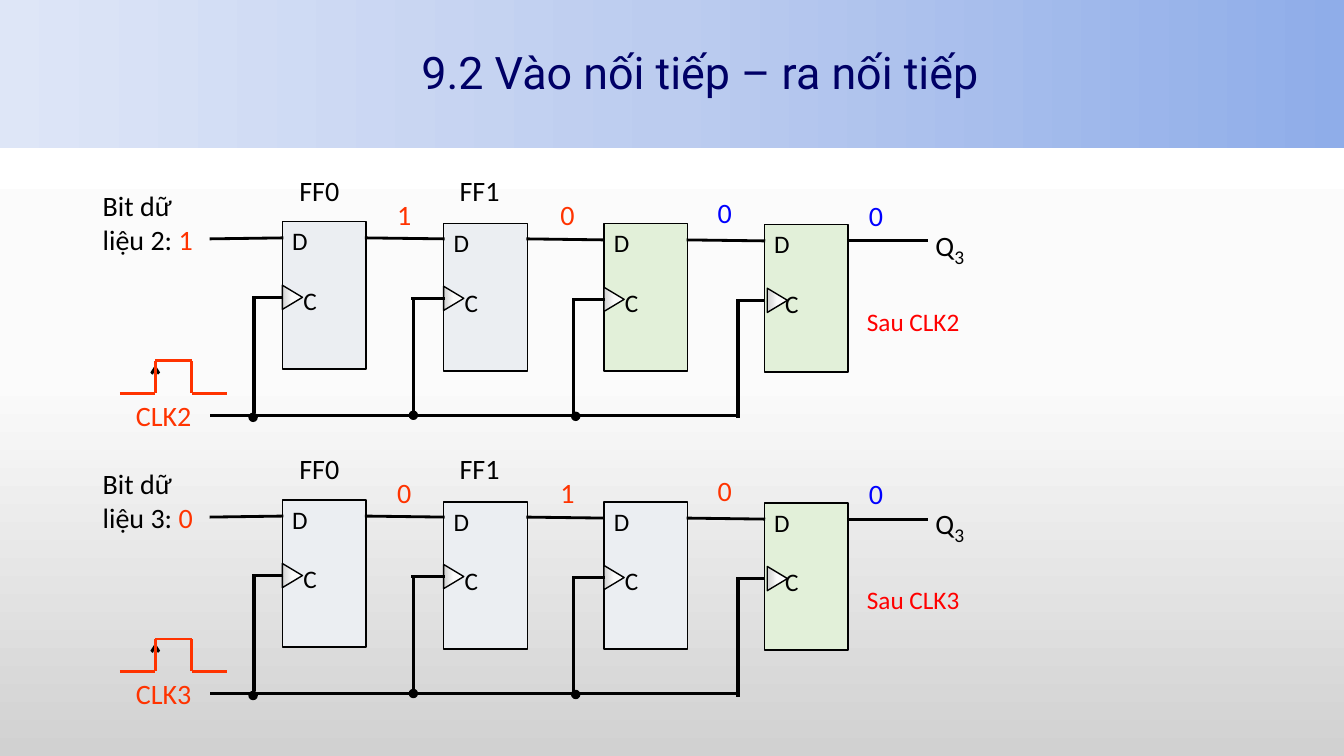
from dataclasses import dataclass
from itertools import pairwise
from typing import NamedTuple

from pptx import Presentation
from pptx.dml.color import RGBColor
from pptx.enum.shapes import MSO_CONNECTOR, MSO_SHAPE
from pptx.enum.text import MSO_ANCHOR, MSO_AUTO_SIZE, PP_ALIGN
from pptx.oxml import parse_xml
from pptx.oxml.ns import nsdecls, qn
from pptx.util import Inches, Pt

BLACK = RGBColor(0x00, 0x00, 0x00)
ORANGE = RGBColor(0xFF, 0x33, 0x00)
RED = RGBColor(0xFF, 0x00, 0x00)
BLUE = RGBColor(0x00, 0x00, 0xFF)
NAVY = RGBColor(0x00, 0x00, 0x66)
GREY_BOX = RGBColor(0xEB, 0xEE, 0xF2)
GREEN_BOX = RGBColor(0xE2, 0xF0, 0xD9)
PAPER = ("FFFFFF", "FBFBFB", "D1D1D1")
BAND = ("8FADE9", "BCCCEF", "DEE6F7")
BOX_W, BOX_H = 0.83, 1.46
BUS_Y = 4.12


class Run(NamedTuple):
    text: str
    color: RGBColor = BLACK
    size: float = 20
    baseline: int = 0


class Stage(NamedTuple):
    left: float
    top: float
    clock_left: float
    clock_x: float
    drop_end: float
    bit_left: float
    bit_top: float


@dataclass(frozen=True)
class Register:
    number: int
    dy: float
    data_bit: str
    bits: str
    loaded: int


STAGES = (
    Stage(2.8, 2.2, 2.78, 2.52, 4.1, 3.84, 1.91),
    Stage(4.4, 2.22, 4.38, 4.1, 4.11, 5.46, 1.91),
    Stage(5.99, 2.22, 5.97, 5.69, 4.13, 7.02, 1.89),
    Stage(7.58, 2.23, 7.59, 7.32, 4.15, 8.52, 1.92),
)
DOTS = ((2.47, 4.1), (4.06, 4.08), (5.67, 4.09))
REGISTERS = (
    Register(2, 0, "1", "1000", 2),
    Register(3, 2.76, "0", "0100", 3),
)


def set_gradient(fill, root, colors: tuple[str, ...], angle: float) -> None:
    """Spread the colours evenly; the angle runs clockwise."""
    fill.gradient()
    fill.gradient_angle = 360 - angle
    stops = root.find(".//" + qn("a:gsLst"))
    for stop in list(stops):
        stops.remove(stop)
    for i, color in enumerate(colors):
        pos = 100000 * i // (len(colors) - 1)
        stops.append(parse_xml(f'<a:gs {nsdecls("a")} pos="{pos}">'
                               f'<a:srgbClr val="{color}"/></a:gs>'))


def add_runs(p, runs: list[Run], font: str = "Calibri") -> None:
    for run in runs:
        r = p.add_run()
        r.text = run.text
        r.font.name = font
        r.font.size = Pt(run.size)
        r.font.color.rgb = run.color
        if run.baseline:
            r.font._element.set("baseline", str(run.baseline * 1000))


def add_text(s, left: float, top: float, width: float, height: float,
             *lines: list[Run], wrap: bool = False) -> None:
    tf = s.shapes.add_textbox(Inches(left), Inches(top),
                              Inches(width), Inches(height)).text_frame
    tf.word_wrap = wrap
    tf.auto_size = MSO_AUTO_SIZE.SHAPE_TO_FIT_TEXT
    for i, runs in enumerate(lines):
        add_runs(tf.add_paragraph() if i else tf.paragraphs[0], runs)


def add_line(s, x1: float, y1: float, x2: float, y2: float,
             color: RGBColor = BLACK, width: float = 2, arrow: bool = False) -> None:
    line = s.shapes.add_connector(MSO_CONNECTOR.STRAIGHT, Inches(x1), Inches(y1),
                                  Inches(x2), Inches(y2))
    line.line.color.rgb = color
    line.line.width = Pt(width)
    if arrow:
        line.line._get_or_add_ln().append(
            parse_xml(f'<a:tailEnd {nsdecls("a")} type="arrow"/>'))
    line._element.spPr.append(parse_xml(f'<a:effectLst {nsdecls("a")}/>'))


def add_shape(s, kind: MSO_SHAPE, left: float, top: float, width: float,
              height: float, fill: RGBColor | None = None):
    sp = s.shapes.add_shape(kind, Inches(left), Inches(top),
                            Inches(width), Inches(height))
    sp.shadow.inherit = False
    sp.line.color.rgb = BLACK
    sp.line.width = Pt(1)
    if fill is not None:
        sp.fill.solid()
        sp.fill.fore_color.rgb = fill
    return sp


def add_flip_flop(s, stage: Stage, i: int, dy: float, fill: RGBColor) -> None:
    sp = add_shape(s, MSO_SHAPE.RECTANGLE, stage.left, stage.top + dy,
                   BOX_W, BOX_H, fill)
    tf = sp.text_frame
    tf.vertical_anchor = MSO_ANCHOR.TOP
    tf.margin_top = Inches(0.04)
    d, c = tf.paragraphs[0], tf.add_paragraph()
    for p, name in ((d, "D"), (c, "C")):
        p.alignment = PP_ALIGN.LEFT
        add_runs(p, [Run(name, size=18)])
    c.space_before = Pt(21)
    c._p.get_or_add_pPr().set("marL", str(Inches(0.11)))

    clock_y = 2.95 + 0.01 * i + dy
    mark = add_shape(s, MSO_SHAPE.ISOSCELES_TRIANGLE, stage.clock_left,
                     clock_y - 0.1, 0.24, 0.2)
    mark.rotation = 90
    set_gradient(mark.fill, mark._element, PAPER, 90)
    add_line(s, stage.left + 0.01, clock_y, stage.clock_x - 0.02, clock_y)
    add_line(s, stage.clock_x, clock_y, stage.clock_x, stage.drop_end + dy, width=2.5)


def add_pulse(s, dy: float) -> None:
    start, rise, fall, end = 1.19, 1.54, 1.9, 2.25
    low, high = 3.9 + dy, 3.58 + dy
    add_line(s, rise, low - 0.04, rise, high + 0.04, arrow=True)
    corners = ((start, low), (rise, low), (rise, high),
               (fall, high), (fall, low), (end, low))
    for a, b in pairwise(corners):
        add_line(s, *a, *b, color=ORANGE)


def add_register(s, reg: Register) -> None:
    dy = reg.dy
    for i, stage in enumerate(STAGES):
        add_flip_flop(s, stage, i, dy, GREY_BOX if i < reg.loaded else GREEN_BOX)

    starts = [2.08] + [stage.left + BOX_W - 0.01 for stage in STAGES]
    ends = [stage.left + 0.01 for stage in STAGES] + [9.2]
    heights = (2.37, 2.36, 2.37, 2.38, 2.39, 2.39)
    for x1, x2, (y1, y2) in zip(starts, ends, pairwise(heights)):
        add_line(s, x1, y1 + dy, x2, y2 + dy)

    add_line(s, 7.33, BUS_Y + dy, 2.08, BUS_Y + dy, width=2.5)
    for left, top in DOTS:
        add_shape(s, MSO_SHAPE.OVAL, left, top + dy, 0.08, 0.08, BLACK)

    for i, (stage, bit) in enumerate(zip(STAGES, reg.bits)):
        add_text(s, stage.bit_left, stage.bit_top + dy, 0.64, 0.44,
                 [Run(bit, ORANGE if i < reg.loaded else BLUE)], wrap=True)
    for name, left in (("FF0", 2.87), ("FF1", 4.46)):
        add_text(s, left, 1.67 + dy, 0.7, 0.44, [Run(name)])
    add_text(s, 9.18, 2.16 + dy, 0.75, 0.44,
             [Run("Q"), Run("3", size=24, baseline=-25)], wrap=True)
    add_text(s, 0.92, 1.82 + dy, 1.18, 0.77, [Run("Bit dữ")],
             [Run(f"liệu {reg.number}: "), Run(reg.data_bit, ORANGE)])
    add_text(s, 8.5, 2.99 + dy, 1.35, 0.4, [Run(f"Sau CLK{reg.number}", RED, 18)])
    add_text(s, 1.25, 3.9 + dy, 0.9, 0.44, [Run(f"CLK{reg.number}", ORANGE)])
    add_pulse(s, dy)


def add_header(s) -> None:
    band = add_shape(s, MSO_SHAPE.RECTANGLE, 0, 0, 13.33, 1.47)
    band.line.fill.background()
    set_gradient(band.fill, band._element, BAND, 180)
    s.shapes._spTree.insert(2, band._element)

    title = s.shapes.title
    title.left, title.top = Inches(4.08), Inches(0.02)
    title.width, title.height = Inches(8.92), Inches(1.45)
    tf = title.text_frame
    tf.vertical_anchor = MSO_ANCHOR.MIDDLE
    p = tf.paragraphs[0]
    p.alignment = PP_ALIGN.LEFT
    p.line_spacing = 0.9
    add_runs(p, [Run("9.2 Vào nối tiếp – ra nối tiếp", NAVY, 32)], font="Roboto")


def main() -> None:
    prs = Presentation()
    prs.slide_width, prs.slide_height = Inches(13.33), Inches(7.5)
    s = prs.slides.add_slide(prs.slide_layouts[5])
    set_gradient(s.background.fill, s._element, PAPER, 90)
    add_header(s)
    for reg in REGISTERS:
        add_register(s, reg)
    prs.save("out.pptx")


if __name__ == "__main__":
    main()
